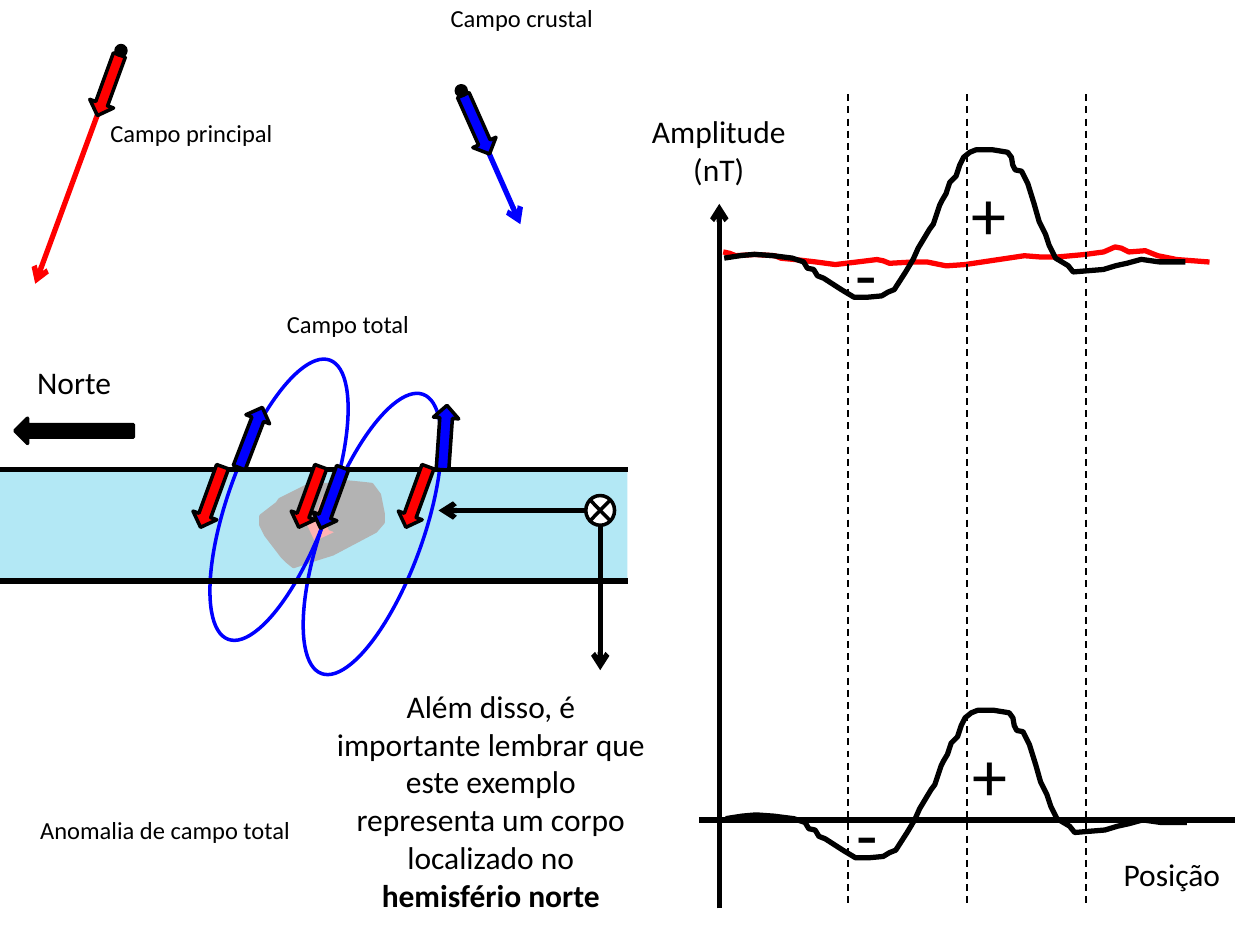
from dataclasses import dataclass

from lxml import etree
from pptx import Presentation
from pptx import util as u
from pptx.dml.color import RGBColor
from pptx.enum import dml, shapes, text
from pptx.oxml.ns import qn

SHAPE = shapes.MSO_SHAPE


@dataclass(frozen=True)
class Theme:
    ink: str = "000000"
    paper: str = "FFFFFF"
    main: str = "FF0000"
    crust: str = "0000FF"
    ground: str = "00B3DF"
    font: str = "Calibri"
    small: int = 14
    body: int = 18
    sign: int = 40
    thin: int = 1
    outline: int = 2
    heavy: int = 3


T = Theme()
POINT = u.Cm(0.0254)  # grid unit of the hand-drawn curves
ARROW = (0.51, 1.3)   # width and height of the small block arrows, cm

PROFILE = [
    (0, 86), (13, 84), (24, 83), (38, 84), (54, 86), (63, 89), (66, 94),
    (71, 95), (74, 100), (79, 102), (93, 111), (103, 117), (114, 117),
    (125, 116), (130, 113), (135, 111), (144, 97), (150, 87), (154, 78),
    (163, 63), (166, 59), (171, 44), (173, 40), (176, 35), (179, 26),
    (184, 21), (187, 12), (190, 6), (195, 2), (200, 0), (213, 0), (225, 2),
    (228, 6), (229, 12), (231, 16), (236, 17), (239, 23), (241, 27),
    (246, 43), (250, 57), (255, 67), (258, 76), (263, 86), (273, 92),
    (277, 97), (289, 96), (301, 95), (311, 92), (320, 90), (331, 87),
    (345, 89), (366, 89)]
REGIONAL = [
    (0, 0), (5, 1), (10, 3), (25, 2), (41, 3), (46, 5), (57, 6), (74, 8),
    (89, 10), (106, 8), (122, 6), (127, 7), (132, 9), (150, 8), (162, 8),
    (177, 11), (192, 10), (239, 3), (252, 4), (265, 4), (287, 2), (302, 0),
    (311, -4), (316, -3), (322, 0), (335, -1), (345, 3), (360, 6), (386, 8)]
BODY = [
    (0, 25), (13, 15), (15, 12), (39, 0), (54, 0), (69, -2), (79, -1),
    (88, 0), (94, 8), (97, 23), (97, 30), (91, 37), (57, 55), (41, 60),
    (32, 63), (26, 65), (21, 61), (17, 57), (4, 40), (0, 32)]


class Region:
    """Draws parts at centimetre offsets from the corner of its box."""

    def __init__(self, parent, x, y):
        self.parent, self.x, self.y = parent, x, y

    def at(self, x, y):
        return u.Cm(self.x + x), u.Cm(self.y + y)

    def style(self, s, fill=None, line=None, width=T.outline):
        s.shadow.inherit = False
        if fill:
            s.fill.solid()
            s.fill.fore_color.rgb = RGBColor.from_string(fill)
        else:
            s.fill.background()
        if line:
            s.line.color.rgb = RGBColor.from_string(line)
            s.line.width = u.Pt(width)
        else:
            s.line.fill.background()
        return s

    def shape(self, kind, x, y, w, h, fill=None, line=None, rotation=0):
        s = self.parent.add_shape(kind, *self.at(x, y), u.Cm(w), u.Cm(h))
        s.rotation = rotation
        return self.style(s, fill, line)

    def block_arrow(self, x, y, color, rotation):
        self.shape(SHAPE.DOWN_ARROW, x, y, *ARROW, color, T.ink, rotation)

    def line(self, start, end, color=T.ink, width=T.heavy, arrow=False,
             dashed=False):
        c = self.parent.add_connector(shapes.MSO_CONNECTOR.STRAIGHT,
                                      *self.at(*start), *self.at(*end))
        c.line.color.rgb = RGBColor.from_string(color)
        c.line.width = u.Pt(width)
        if dashed:
            c.line.dash_style = dml.MSO_LINE.DASH
        if arrow:
            etree.SubElement(c.line._get_or_add_ln(), qn("a:tailEnd"),
                             type="arrow")
        etree.SubElement(c._element.spPr, qn("a:effectLst"))

    def curve(self, points, x, y, line, fill=None, close=False,
              width=T.heavy):
        fb = self.parent.build_freeform(*points[0], scale=POINT)
        fb.add_line_segments(points[1:], close=close)
        self.style(fb.convert_to_shape(*self.at(x, y)), fill, line, width)

    def label(self, x, y, w, h, *runs, size=T.small,
              align=text.PP_ALIGN.CENTER):
        tf = self.parent.add_textbox(*self.at(x, y), u.Cm(w),
                                     u.Cm(h)).text_frame
        tf.word_wrap = True
        tf.auto_size = text.MSO_AUTO_SIZE.SHAPE_TO_FIT_TEXT
        p = tf.paragraphs[0]
        p.alignment = align
        for i, words in enumerate(runs):
            r = p.add_run()
            r.text = words
            r.font.name, r.font.size = T.font, u.Pt(size)
            r.font.color.rgb = RGBColor.from_string(T.ink)
            if i:  # runs after the first are emphasis
                r.font.bold = True


def field_vector(parent, x, y, tip, arrow_at, rotation, color, name, name_box):
    """Field direction leaving a dot centred on (x, y)."""
    g = Region(parent, x, y)
    g.line((0, 0), tip, color, arrow=True)
    g.block_arrow(*arrow_at, color, rotation)
    g.shape(SHAPE.OVAL, -0.1, -0.1, 0.2, 0.2, T.ink, T.ink)
    g.label(*name_box, name)


def north_mark(parent, x, y):
    g = Region(parent.add_group_shape().shapes, x, y)
    g.shape(SHAPE.RIGHT_ARROW, 0, 1.24, 2.39, 0.51, T.ink, T.ink, 180)
    g.label(0, 0, 2.39, 1.02, "Norte", size=T.body)


def ground_section(parent, x, y, w, h):
    g = Region(parent, x, y)
    # Layer and buried body, softened by a translucent veil
    g.shape(SHAPE.RECTANGLE, 0, 0, w, h, T.ground)
    g.curve(BODY, 5.26, 0.3, T.ink, T.ink, close=True, width=T.outline)
    g.shape(SHAPE.DOWN_ARROW, 6.1, 0.53, 0.79, 0.99, T.main, T.ink, 20)
    veil = g.shape(SHAPE.RECTANGLE, -0.2, -0.36, w + 0.4, h + 0.72, T.paper)
    color = veil._element.spPr.find(qn("a:solidFill"))[0]
    etree.SubElement(color, qn("a:alpha"), val="70000")
    # Field lines of the body
    for left, top in ((6.5, -1.7), (4.62, -2.39)):
        g.shape(SHAPE.OVAL, left, top, 2.01, 5.99, None, T.crust, 20)
    # Coordinate axes
    a = Region(parent.add_group_shape().shapes, x + 12.1, y + 0.82)
    a.line((0, 0), (0, 3.22), arrow=True)
    a.line((0, 0), (-3.26, 0), arrow=True)
    a.shape(SHAPE.FLOWCHART_SUMMING_JUNCTION, -0.29, -0.3, 0.58, 0.6,
            T.paper, T.ink)
    # Layer boundaries
    for level in (h, 0):
        g.line((0, level), (w, level))
    # Main and crustal field at three stations
    for left in (4.01, 5.99, 8.15):
        g.block_arrow(left, -0.1, T.main, 20)
    for left, top, turn in ((4.8, -1.3, 201), (6.43, -0.08, 20),
                            (8.71, -1.3, 184)):
        g.block_arrow(left, top, T.crust, turn)


def profile_plot(parent, x, y):
    g = Region(parent, x, y)
    # Axes and their names
    g.line((0, 16.41), (0, 2.21), arrow=True)
    g.line((-0.41, 14.63), (10.39, 14.63))
    g.label(7.9, 15.21, 2.69, 1.02, "Posição", size=T.body,
            align=text.PP_ALIGN.LEFT)
    g.label(-1.8, 0.23, 3.58, 1.8, "Amplitude (nT)", size=T.body)
    g.curve(REGIONAL, 0.08, 3.18, T.main)
    # Station guides
    for i in range(3):
        left = 2.59 + 2.4 * i
        g.line((left, 0), (left, 16.4), width=T.thin, dashed=True)
    # Total field above, anomaly below
    for dx, dy in ((0, 0), (0.03, 11.3)):
        g.curve(PROFILE, 0.1 + dx, 1.12 + dy, T.ink)
        for sign, left, top in (("+", 4.78, 1.42), ("-", 2.31, 2.62)):
            g.label(left + dx, top + dy, 1.3, 1.96, sign, size=T.sign)


def captions(parent, x, y):
    g = Region(parent, x, y)
    g.label(5.13, 0, 3.05, 0.86, "Campo total")
    g.label(0, 10.21, 5.94, 0.81, "Anomalia de campo total")
    g.label(6.17, 7.62, 6.73, 4.88,
            "Além disso, é importante lembrar que este exemplo representa "
            "um corpo localizado no ", "hemisfério norte", size=T.body)


def main():
    prs = Presentation()
    prs.slide_width, prs.slide_height = u.Cm(25.4), u.Cm(19.05)
    parts = prs.slides.add_slide(prs.slide_layouts[6]).shapes
    ground_section(parts, 0, 9.47, 12.65, 2.24)
    north_mark(parts, 0.3, 7.19)
    field_vector(parts, 2.44, 1.02, (-1.73, 4.7), (-0.51, 0.05), 20, T.main,
                 "Campo principal", (-0.61, 1.24, 4.06, 0.74))
    field_vector(parts, 9.3, 1.83, (1.19, 2.69), (0.05, 0.03), 336, T.crust,
                 "Campo crustal", (-0.81, -1.9, 4.06, 0.86))
    profile_plot(parts, 14.5, 1.9)
    captions(parts, 0.36, 6.1)
    prs.save("out.pptx")


if __name__ == "__main__":
    main()
